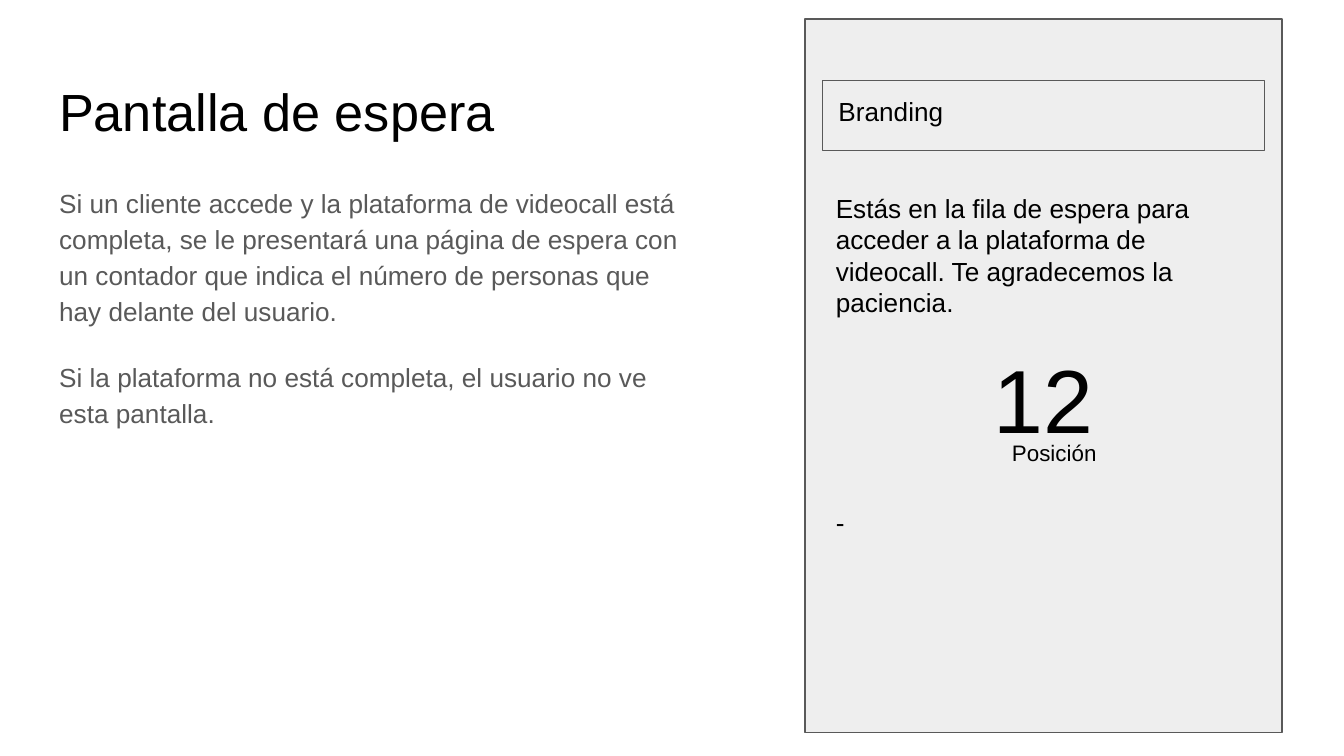
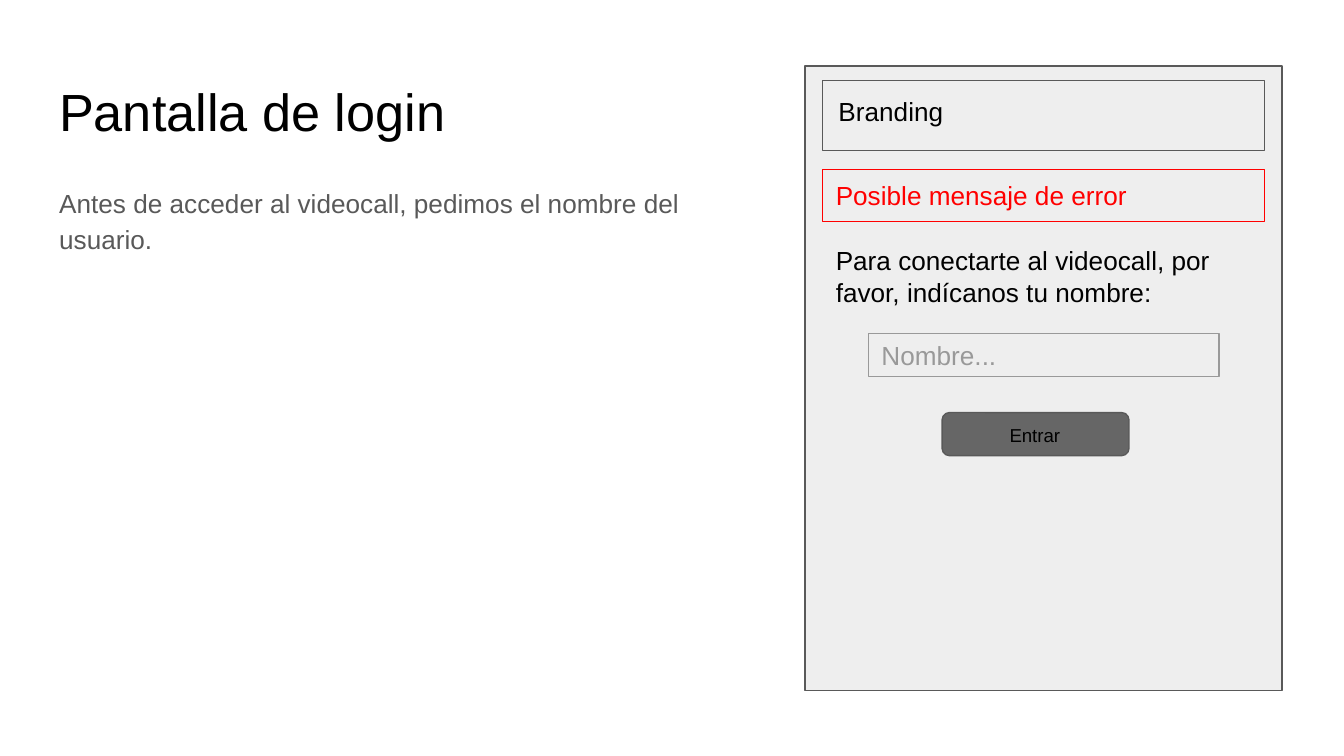
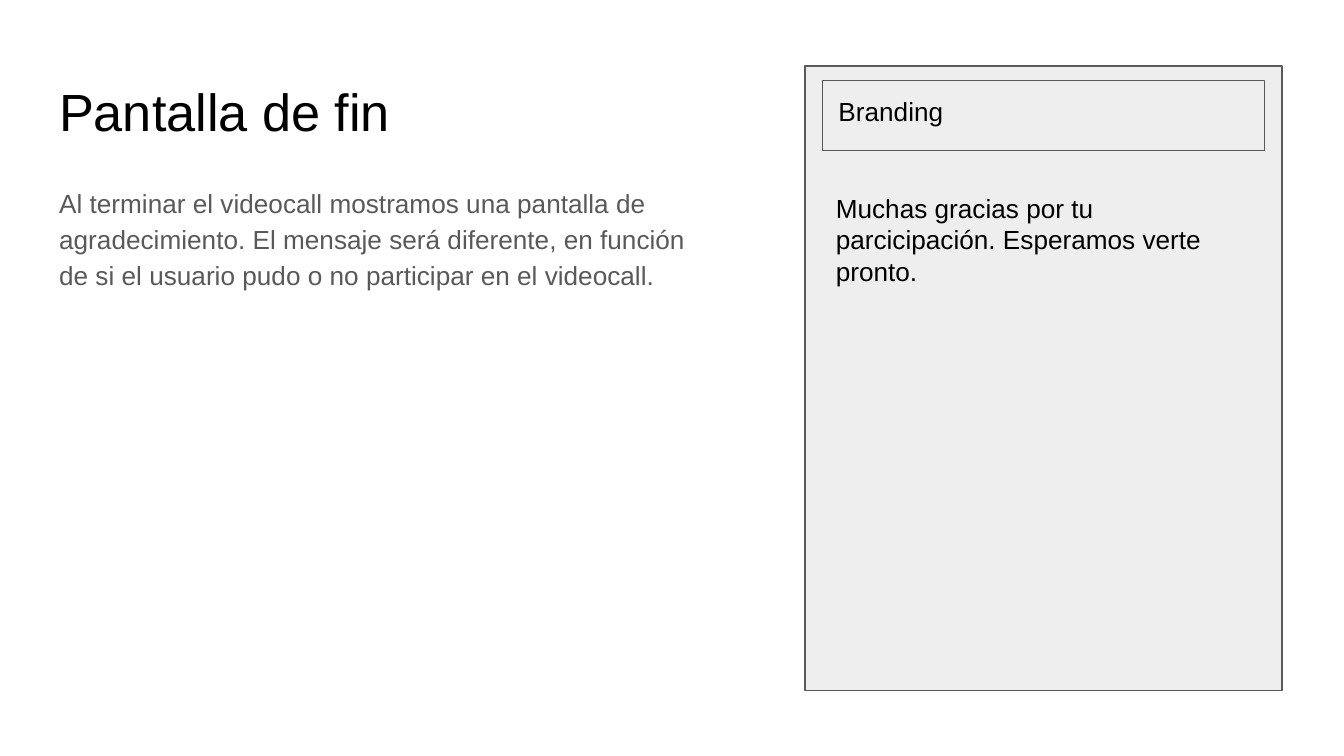
import pptx
import pptx.dml.color
import pptx.enum.shapes
import pptx.enum.text
import pptx.oxml.ns
import pptx.util
from lxml import etree

SHAPES = pptx.enum.shapes.MSO_SHAPE
ALIGN = pptx.enum.text.PP_ALIGN
ANCHOR = pptx.enum.text.MSO_ANCHOR

THEME = {
    "font": "Arial",
    "colors": {"ink": "000000", "body": "595959", "panel": "EEEEEE", "border": "595959",
               "hint": "999999", "button": "666666", "error": "FF0000"},
    "sizes": {"title": 28, "text": 14, "label": 12, "button": 10, "counter": 48},
    "line": 0.75,
    "inset": 0.1,
}
WIDTH = pptx.util.Inches(10)
HEIGHT = WIDTH * 9 // 16

# Boxes are (left, top, width, height) in percent of the slide.
# A left of None centres the box in the phone screen.
SCREEN_LEFT, SCREEN_WIDTH = 59.9, 35.5
CONTENT_WIDTH = 32.9
TITLE_BOX = (3.4, 8.71, 93.2, 11.2)
SHORT_SCREEN, TALL_SCREEN = (8.71, 82.67), (2.49, 94.4)
SHORT_BODY, TALL_BODY = 38.4, 66.49
MESSAGE_BOX = (None, 23.64, CONTENT_WIDTH, 20.09)

TEXT_FORMAT = {"space_before": pptx.util.Pt(0), "space_after": pptx.util.Pt(0), "line_spacing": 1.0}
BODY_FORMAT = {"space_before": pptx.util.Pt(0), "space_after": pptx.util.Pt(16), "line_spacing": 1.15}

BRANDING = [
    {"box": (None, 10.67, CONTENT_WIDTH, 9.24), "shape": SHAPES.RECTANGLE,
     "fill": "panel", "line": "border"},
    {"box": (61.4, 10.84, 25.1, 6.93), "text": ["Branding"]},
]

SLIDES = [
    {"title": "Pantalla de espera",
     "body": ["Si un cliente accede y la plataforma de videocall está completa, se le presentará "
              "una página de espera con un contador que indica el número de personas que hay "
              "delante del usuario.",
              "Si la plataforma no está completa, el usuario no ve esta pantalla."],
     "body_height": SHORT_BODY,
     "screen": TALL_SCREEN,
     "parts": [
         {"box": MESSAGE_BOX, "gap": 101,
          "text": ["Estás en la fila de espera para acceder a la plataforma de videocall. "
                   "Te agradecemos la paciencia.", "-"]},
         {"box": (None, 43.73, 11.3, 16.89), "text": ["12"], "size": "counter",
          "align": ALIGN.CENTER},
         {"box": (73.8, 56.36, 9.3, 6.93), "text": ["Posición"], "size": "label",
          "align": ALIGN.CENTER},
     ]},
    {"title": "Pantalla de login",
     "body": ["Antes de acceder al videocall, pedimos el nombre del usuario."],
     "body_height": TALL_BODY,
     "screen": SHORT_SCREEN,
     "parts": [
         {"box": (None, 30.58, CONTENT_WIDTH, 13.69),
          "text": ["Para conectarte al videocall, por favor, indícanos tu nombre:"]},
         {"box": (None, 44.09, 26.1, 5.69), "shape": SHAPES.RECTANGLE, "line": "hint",
          "text": ["Nombre..."], "color": "hint"},
         {"box": (70.1, 54.58, 13.9, 5.69), "shape": SHAPES.ROUNDED_RECTANGLE,
          "fill": "button", "line": "border"},
         {"box": (72, 54.22, 10, 5.69), "text": ["Entrar"], "size": "button",
          "align": ALIGN.CENTER},
         {"box": (None, 22.4, CONTENT_WIDTH, 6.93), "shape": SHAPES.RECTANGLE, "line": "error",
          "text": ["Posible mensaje de error"], "color": "error"},
     ]},
    {"title": "Pantalla de fin",
     "body": ["Al terminar el videocall mostramos una pantalla de agradecimiento. El mensaje será "
              "diferente, en función de si el usuario pudo o no participar en el videocall."],
     "body_height": TALL_BODY,
     "screen": SHORT_SCREEN,
     "parts": [
         {"box": MESSAGE_BOX,
          "text": ["Muchas gracias por tu parcicipación. Esperamos verte pronto."]},
     ]},
]


def color(name):
    return pptx.dml.color.RGBColor.from_string(THEME["colors"][name])


def set_attributes(target, values):
    for name, value in values.items():
        setattr(target, name, value)


def place(box):
    """Turn a box in percent into slide lengths."""
    left, top, width, height = box
    if left is None:
        left = SCREEN_LEFT + (SCREEN_WIDTH - width) / 2
    return [round(share * side / 100)
            for share, side in zip((left, top, width, height), (WIDTH, HEIGHT) * 2)]


def write(shape, texts, size="text", ink="ink", align=ALIGN.LEFT, anchor=ANCHOR.TOP,
          paragraph_format=TEXT_FORMAT, gap=0):
    """Write one paragraph per text; gap is the extra space between them, in points."""
    frame = shape.text_frame
    margins = ("margin_left", "margin_top", "margin_right", "margin_bottom")
    set_attributes(frame, dict.fromkeys(margins, pptx.util.Inches(THEME["inset"])))
    set_attributes(frame, {"word_wrap": True, "vertical_anchor": anchor,
                           "auto_size": pptx.enum.text.MSO_AUTO_SIZE.NONE})
    for index, text in enumerate(texts):
        paragraph = frame.add_paragraph() if index else frame.paragraphs[0]
        set_attributes(paragraph, {**paragraph_format, "alignment": align})
        if index and gap:
            paragraph.space_before = pptx.util.Pt(gap)
        run = paragraph.add_run()
        run.text = text
        set_attributes(run.font, {"name": THEME["font"],
                                  "size": pptx.util.Pt(THEME["sizes"][size])})
        run.font.color.rgb = color(ink)


def fill_placeholder(shape, box, texts, **text_options):
    set_attributes(shape, dict(zip(("left", "top", "width", "height"), place(box))))
    write(shape, texts, **text_options)


def remove_bullets(shape):
    for paragraph in shape.text_frame.paragraphs:
        properties = paragraph._p.get_or_add_pPr()
        properties.set("marL", "0")
        properties.set("indent", "0")
        etree.SubElement(properties, pptx.oxml.ns.qn("a:buNone"))


def add_part(slide, part):
    """Add a drawn shape or a plain text box."""
    if "shape" in part:
        shape = slide.shapes.add_shape(part["shape"], *place(part["box"]))
        shape.shadow.inherit = False
        if "fill" in part:
            shape.fill.solid()
            shape.fill.fore_color.rgb = color(part["fill"])
        else:
            shape.fill.background()
        shape.line.color.rgb = color(part["line"])
        shape.line.width = pptx.util.Pt(THEME["line"])
    else:
        shape = slide.shapes.add_textbox(*place(part["box"]))
    if "text" in part:
        write(shape, part["text"], part.get("size", "text"), part.get("color", "ink"),
              part.get("align", ALIGN.LEFT),
              ANCHOR.MIDDLE if "shape" in part else ANCHOR.TOP, gap=part.get("gap", 0))


def add_slide(presentation, content):
    slide = presentation.slides.add_slide(presentation.slide_layouts[1])
    # Explanation on the left
    fill_placeholder(slide.shapes.title, TITLE_BOX, [content["title"]], size="title")
    body = slide.placeholders[1]
    fill_placeholder(body, (3.4, 22.4, 49.1, content["body_height"]), content["body"],
                     ink="body", paragraph_format=BODY_FORMAT)
    remove_bullets(body)
    # Phone screen on the right
    top, height = content["screen"]
    screen = {"box": (SCREEN_LEFT, top, SCREEN_WIDTH, height), "shape": SHAPES.RECTANGLE,
              "fill": "panel", "line": "border"}
    for part in [screen, *BRANDING, *content["parts"]]:
        add_part(slide, part)


def main():
    presentation = pptx.Presentation()
    set_attributes(presentation, {"slide_width": WIDTH, "slide_height": HEIGHT})
    for content in SLIDES:
        add_slide(presentation, content)
    presentation.save("out.pptx")


if __name__ == "__main__":
    main()
